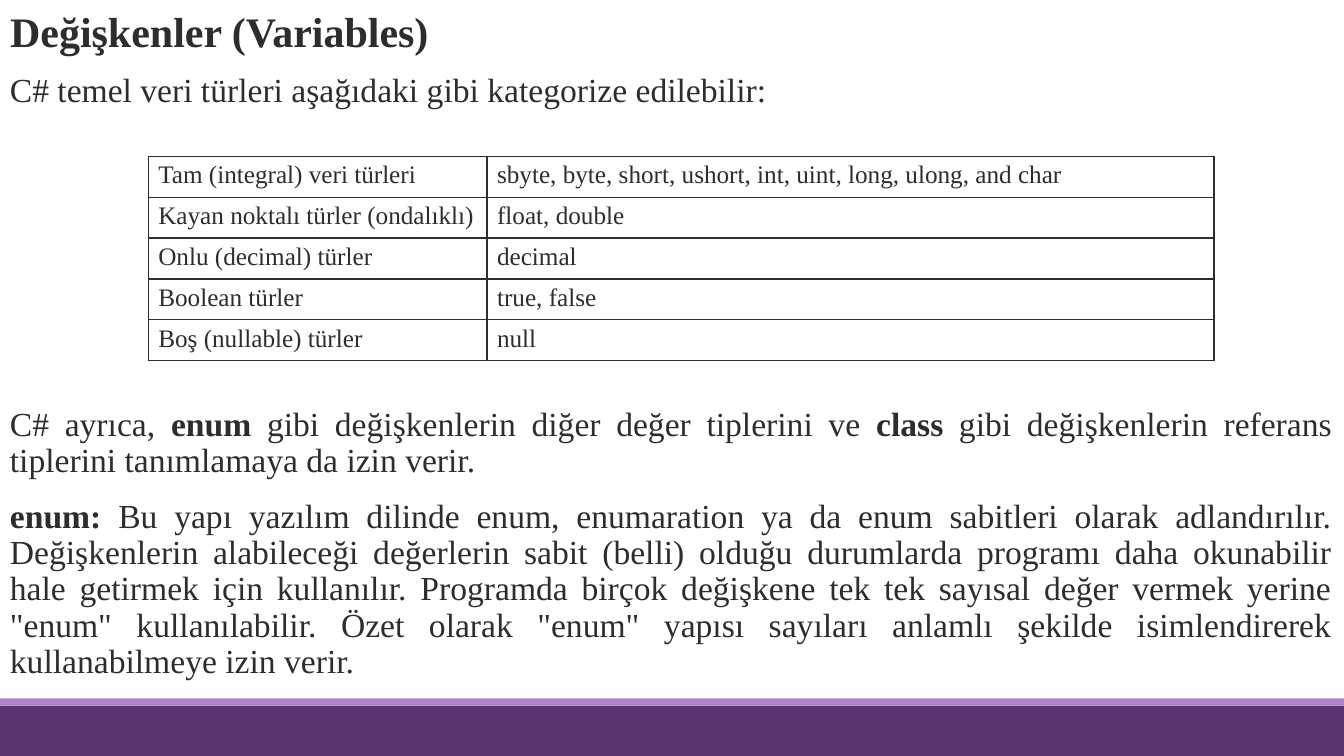
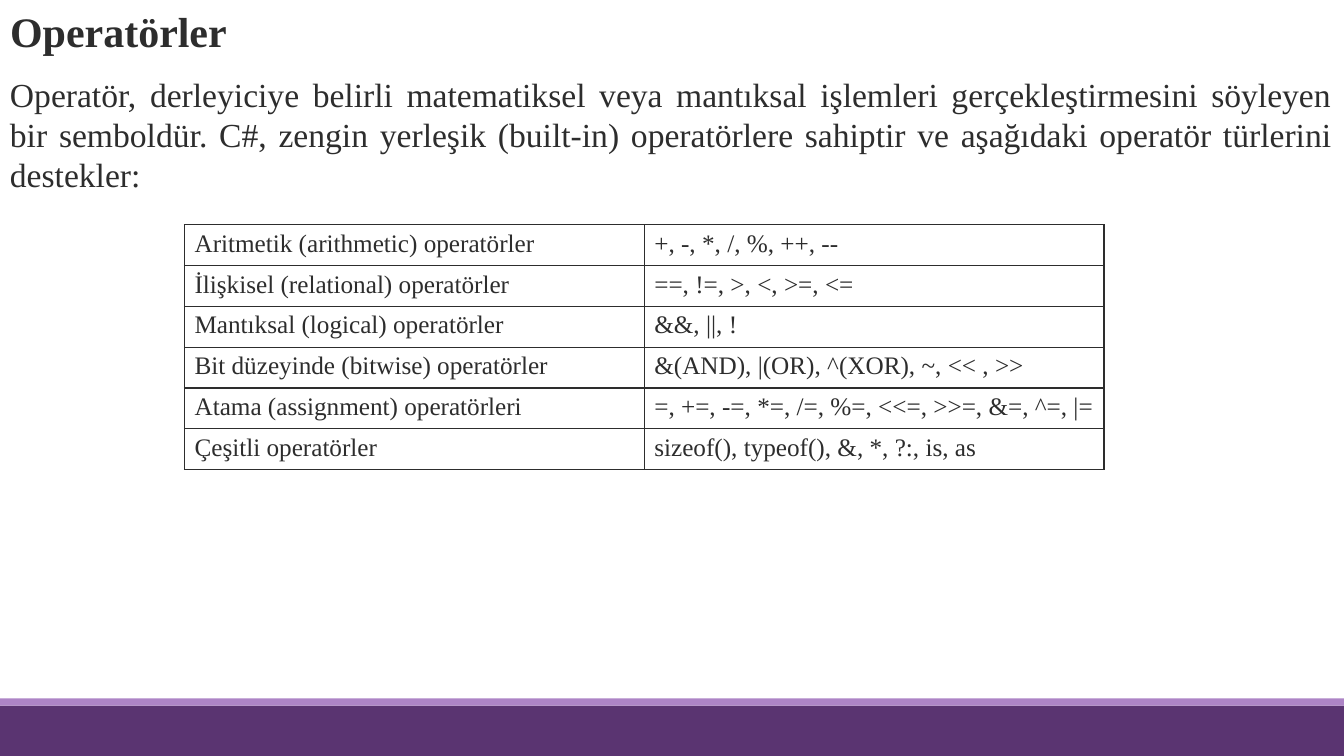
from lxml import etree
from pptx import Presentation
from pptx.dml.color import RGBColor
from pptx.enum.shapes import MSO_SHAPE
from pptx.enum.text import MSO_ANCHOR, MSO_AUTO_SIZE, PP_ALIGN
from pptx.oxml.ns import qn
from pptx.util import Inches, Pt

RECTANGLE = MSO_SHAPE.RECTANGLE
TOP, MIDDLE = MSO_ANCHOR.TOP, MSO_ANCHOR.MIDDLE
LEFT, JUSTIFY = PP_ALIGN.LEFT, PP_ALIGN.JUSTIFY
NO_AUTOFIT = MSO_AUTO_SIZE.NONE

INK = RGBColor(0x2D, 0x2D, 0x2D)
PURPLE = RGBColor(0x5A, 0x34, 0x71)
LILAC = RGBColor(0xAD, 0x84, 0xC6)

SLIDE_WIDTH, SLIDE_HEIGHT = Inches(13.33), Inches(7.5)
FOOTER_BANDS = ((7, 0.5, PURPLE), (6.93, 0.07, LILAC))
BORDER_TAGS = ("a:lnL", "a:lnR", "a:lnT", "a:lnB")
BORDER_WIDTH = Pt(1)

TITLE_FONT = {"name": "Times New Roman", "size": Pt(30), "bold": True}
BODY_FONT = {"name": "Times New Roman", "size": Pt(24), "bold": False}
TABLE_FONT = {"name": "Times New Roman", "size": Pt(18), "bold": False}
FRAME = {
    "word_wrap": True,
    "auto_size": NO_AUTOFIT,
    "margin_left": Inches(0.1),
    "margin_right": 0,
    "margin_top": Inches(0.05),
    "margin_bottom": Inches(0.05),
}
SPACING = {"space_before": Pt(12), "space_after": Pt(2)}

DATA_TYPES = (
    ("Tam (integral) veri türleri",
     "sbyte, byte, short, ushort, int, uint, long, ulong, and char"),
    ("Kayan noktalı türler (ondalıklı)", "float, double"),
    ("Onlu (decimal) türler", "decimal"),
    ("Boolean türler", "true, false"),
    ("Boş (nullable) türler", "null"),
)
OPERATORS = (
    ("Aritmetik (arithmetic) operatörler", "+, -, *, /, %, ++, --"),
    ("İlişkisel (relational) operatörler", "==, !=, >, <, >=, <="),
    ("Mantıksal (logical) operatörler", "&&, ||, !"),
    ("Bit düzeyinde (bitwise) operatörler",
     "&(AND), |(OR), ^(XOR), ~, << , >>"),
    ("Atama (assignment) operatörleri",
     "=, +=, -=, *=, /=, %=, <<=, >>=, &=, ^=, |="),
    ("Çeşitli operatörler", "sizeof(), typeof(), &, *, ?:, is, as"),
)
TYPES_INTRO = "C# temel veri türleri aşağıdaki gibi kategorize edilebilir:"
ENUM_NOTES = (
    "C# ayrıca, **enum** gibi değişkenlerin diğer değer tiplerini ve "
    "**class** gibi değişkenlerin referans tiplerini tanımlamaya da izin "
    "verir.",
    "**enum: **Bu yapı yazılım dilinde enum, enumaration ya da enum "
    "sabitleri olarak adlandırılır. Değişkenlerin alabileceği değerlerin "
    "sabit (belli) olduğu durumlarda programı daha okunabilir hale getirmek "
    "için kullanılır. Programda birçok değişkene tek tek sayısal değer "
    "vermek yerine \"enum\" kullanılabilir. Özet olarak \"enum\" yapısı "
    "sayıları anlamlı şekilde isimlendirerek kullanabilmeye izin verir.",
)
OPERATORS_INTRO = (
    "Operatör, derleyiciye belirli matematiksel veya mantıksal işlemleri "
    "gerçekleştirmesini söyleyen bir semboldür. C#, zengin yerleşik "
    "(built-in) operatörlere sahiptir ve aşağıdaki operatör türlerini "
    "destekler:"
)


def apply(target, values):
    for attribute, value in values.items():
        setattr(target, attribute, value)


class Deck:
    """Holds the presentation style and the slide being filled."""

    def __init__(self):
        self.presentation = Presentation()
        self.presentation.slide_width = SLIDE_WIDTH
        self.presentation.slide_height = SLIDE_HEIGHT
        self.title_only = self.presentation.slide_layouts[5]
        self.slide = None

    def new_slide(self, title):
        self.slide = self.presentation.slides.add_slide(self.title_only)
        self.footer()
        heading = self.slide.shapes.title
        apply(heading, {"left": 0, "top": 0, "width": SLIDE_WIDTH,
                        "height": Inches(0.68)})
        apply(heading.text_frame, {**FRAME, "vertical_anchor": MIDDLE})
        paragraph = heading.text_frame.paragraphs[0]
        apply(paragraph, {"alignment": LEFT, "line_spacing": 0.9})
        self.add_text(paragraph, title, TITLE_FONT)

    def footer(self):
        for top, height, color in FOOTER_BANDS:
            band = self.slide.shapes.add_shape(
                RECTANGLE, 0, Inches(top), SLIDE_WIDTH, Inches(height))
            band.shadow.inherit = False
            band.fill.solid()
            band.fill.fore_color.rgb = color
            band.line.fill.background()

    def add_text(self, paragraph, text, font):
        """Add text to a paragraph; parts between ** marks become bold."""
        for position, part in enumerate(text.split("**")):
            if not part:
                continue
            run = paragraph.add_run()
            run.text = part
            apply(run.font, font)
            run.font.color.rgb = INK
            if position % 2:
                run.font.bold = True

    def body(self, top, height, texts, line_spacing=0.9):
        box = self.slide.shapes.add_textbox(
            0, Inches(top), Inches(13.21), Inches(height))
        frame = box.text_frame
        apply(frame, {**FRAME, "vertical_anchor": TOP})
        for index, text in enumerate(texts):
            paragraph = frame.add_paragraph() if index else frame.paragraphs[0]
            apply(paragraph, {**SPACING, "alignment": JUSTIFY,
                              "line_spacing": line_spacing})
            self.add_text(paragraph, text, BODY_FONT)

    def table(self, left, top, height, column_widths, rows):
        table = self.slide.shapes.add_table(
            len(rows), len(column_widths), Inches(left), Inches(top),
            Inches(sum(column_widths)), Inches(height)).table
        apply(table, {"first_row": False, "horz_banding": False})
        for column, width in zip(table.columns, column_widths):
            column.width = Inches(width)
        for row, texts in zip(table.rows, rows):
            for cell, text in zip(row.cells, texts):
                self.add_text(cell.text_frame.paragraphs[0], text, TABLE_FONT)
                self.outline(cell)
                cell.fill.background()

    def outline(self, cell):
        properties = cell._tc.get_or_add_tcPr()
        for tag in BORDER_TAGS:
            border = etree.SubElement(
                properties, qn(tag), w=str(int(BORDER_WIDTH)))
            fill = etree.SubElement(border, qn("a:solidFill"))
            etree.SubElement(fill, qn("a:srgbClr"), val=str(INK))


def main():
    deck = Deck()

    deck.new_slide("Değişkenler (Variables)")
    deck.body(0.68, 0.5, [TYPES_INTRO])
    deck.table(1.47, 1.55, 2.03, (3.36, 7.21), DATA_TYPES)
    deck.body(3.99, 2.85, ENUM_NOTES)

    deck.new_slide("Operatörler")
    deck.body(0.68, 1.4, [OPERATORS_INTRO], line_spacing=1.0)
    deck.table(1.83, 2.23, 2.43, (4.56, 4.56), OPERATORS)

    deck.presentation.save("out.pptx")


if __name__ == "__main__":
    main()
